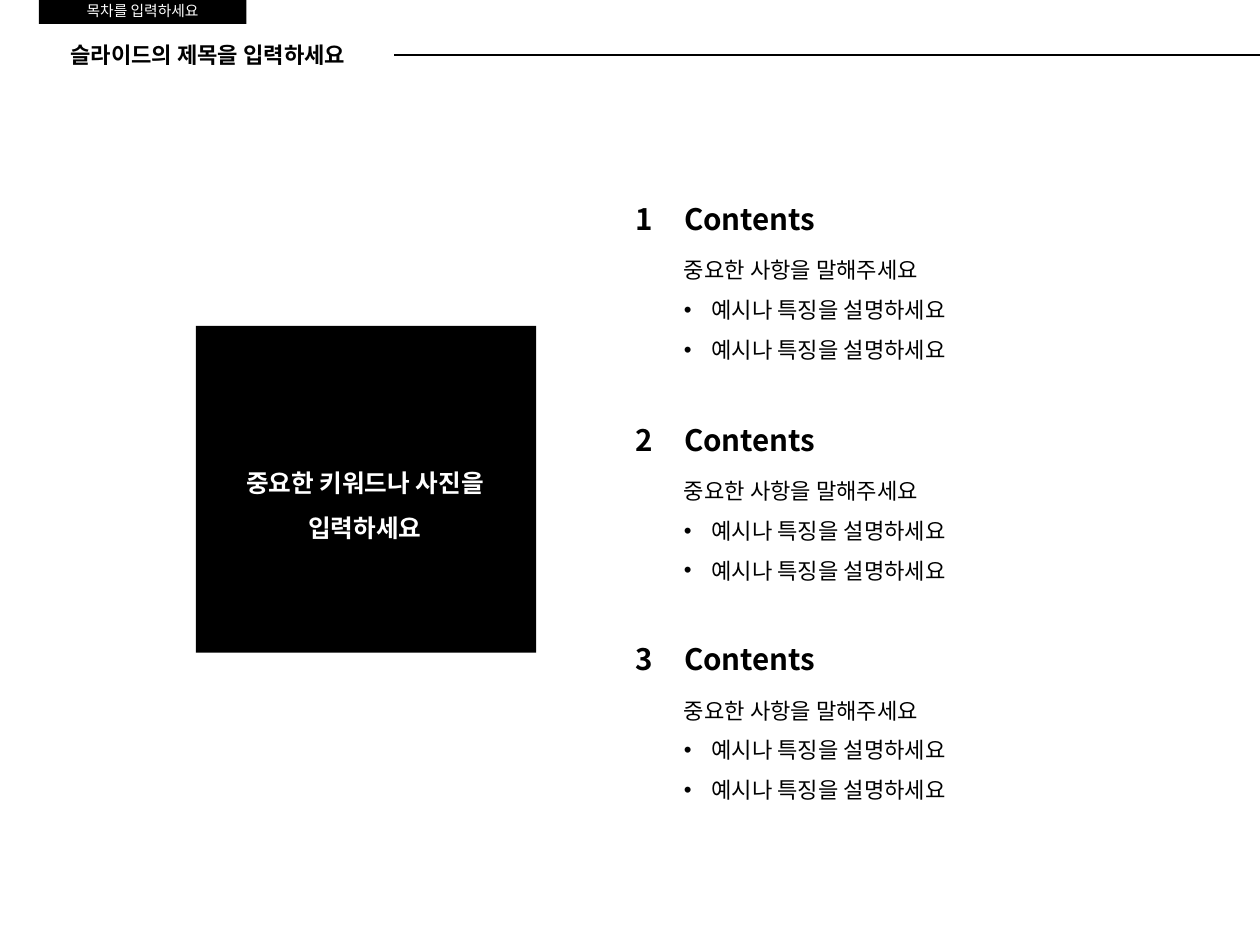
from dataclasses import dataclass

from lxml import etree
from pptx import Presentation, util as u
from pptx.dml.color import RGBColor
from pptx.enum import shapes, text
from pptx.oxml import ns

PX = 9144  # EMU per px, 100 px to the inch


@dataclass(frozen=True)
class Theme:
    font: str = "Noto Sans CJK KR"
    black: RGBColor = RGBColor(0, 0, 0)
    white: RGBColor = RGBColor(255, 255, 255)
    small: int = 12
    body: int = 18
    keyword: int = 20
    heading: int = 24
    spacing: float = 1.5


@dataclass(frozen=True)
class Box:
    left: int
    top: int
    width: int
    height: int

    def emu(self) -> tuple[int, ...]:
        return tuple(v * PX for v in (self.left, self.top, self.width, self.height))


@dataclass(frozen=True)
class Section:
    number: str
    title: str
    summary: str
    examples: tuple[str, ...]


THEME = Theme()
INSET = 6
INDENT = 31
SECTION_TOP = 221
SECTION_PITCH = 248.5
SECTIONS = [
    Section(str(n), "Contents", "중요한 사항을 말해주세요", ("예시나 특징을 설명하세요",) * 2)
    for n in range(1, 4)
]


def add_bullet(p) -> None:
    pPr = p._p.get_or_add_pPr()
    pPr.set("marL", str(INDENT * PX))
    pPr.set("indent", str(-INDENT * PX))
    etree.SubElement(pPr, ns.qn("a:buFont"), typeface="Arial")
    etree.SubElement(pPr, ns.qn("a:buChar"), char="•")


def write(sp, lines: list[str], *, size: int, color: RGBColor = THEME.black,
          bold: bool = False, align=text.PP_ALIGN.LEFT, anchor=text.MSO_ANCHOR.MIDDLE,
          spacing: float | None = None, wrap: bool = False, grow: bool = True,
          bullets_from: int | None = None) -> None:
    tf = sp.text_frame
    tf.margin_left = tf.margin_right = tf.margin_top = tf.margin_bottom = INSET * PX
    tf.word_wrap, tf.vertical_anchor = wrap, anchor
    tf.auto_size = text.MSO_AUTO_SIZE.SHAPE_TO_FIT_TEXT if grow else text.MSO_AUTO_SIZE.NONE
    for i, line in enumerate(lines):
        p = tf.add_paragraph() if i else tf.paragraphs[0]
        p.alignment = align
        if spacing:
            p.line_spacing = spacing
        if bullets_from is not None and i >= bullets_from:
            add_bullet(p)
        r = p.add_run()
        r.text = line
        r.font.size, r.font.bold = u.Pt(size), bold
        r.font.color.rgb, r.font.name = color, THEME.font
        # Hangul takes the East Asian typeface
        etree.SubElement(r._r.get_or_add_rPr(), ns.qn("a:ea"), typeface=THEME.font)


def add_label(parent, box: Box, lines: list[str], **fmt) -> None:
    write(parent.add_textbox(*box.emu()), lines, **fmt)


def add_block(parent, box: Box):
    sp = parent.add_shape(shapes.MSO_SHAPE.RECTANGLE, *box.emu())
    sp.shadow.inherit = False
    sp.fill.solid()
    sp.fill.fore_color.rgb = THEME.black
    sp.line.fill.background()
    return sp


def add_rule(parent, x1: int, x2: int, y: int) -> None:
    line = parent.add_connector(shapes.MSO_CONNECTOR.STRAIGHT, x1 * PX, y * PX, x2 * PX, y * PX)
    line.line.color.rgb, line.line.width = THEME.black, u.Pt(2)
    etree.SubElement(line._element.spPr, ns.qn("a:effectLst"))


def add_section(s, section: Section, top: int) -> None:
    group = s.shapes.add_group_shape().shapes
    add_label(group, Box(711, top, 32, 52), [section.number],
              size=THEME.heading, bold=True, align=text.PP_ALIGN.CENTER)
    add_label(group, Box(766, top, 168, 52), [section.title], size=THEME.heading, bold=True)
    add_label(group, Box(766, top + 48, 314, 143), [section.summary, *section.examples],
              size=THEME.body, anchor=text.MSO_ANCHOR.TOP, spacing=THEME.spacing,
              bullets_from=1)


def main() -> None:
    prs = Presentation()
    prs.slide_width, prs.slide_height = 1422 * PX, 1067 * PX
    s = prs.slides.add_slide(prs.slide_layouts[6])

    # Header: tab, title and rule
    tab = add_block(s.shapes, Box(44, -4, 234, 31))
    write(tab, ["목차를 입력하세요"], size=THEME.small, color=THEME.white,
          align=text.PP_ALIGN.CENTER, wrap=True, grow=False)
    add_label(s.shapes, Box(70, 41, 329, 42), ["슬라이드의 제목을 입력하세요"],
              size=THEME.body, bold=True, align=text.PP_ALIGN.CENTER)
    add_rule(s.shapes, 445, 1422, 62)

    # Keyword panel
    panel = s.shapes.add_group_shape().shapes
    add_block(panel, Box(221, 368, 384, 369))
    add_label(panel, Box(240, 506, 344, 112), ["중요한 키워드나 사진을", "입력하세요"],
              size=THEME.keyword, color=THEME.white, bold=True,
              align=text.PP_ALIGN.CENTER, spacing=THEME.spacing, wrap=True)

    # Numbered sections
    for i, section in enumerate(SECTIONS):
        add_section(s, section, round(SECTION_TOP + i * SECTION_PITCH))

    prs.save("out.pptx")


if __name__ == "__main__":
    main()
